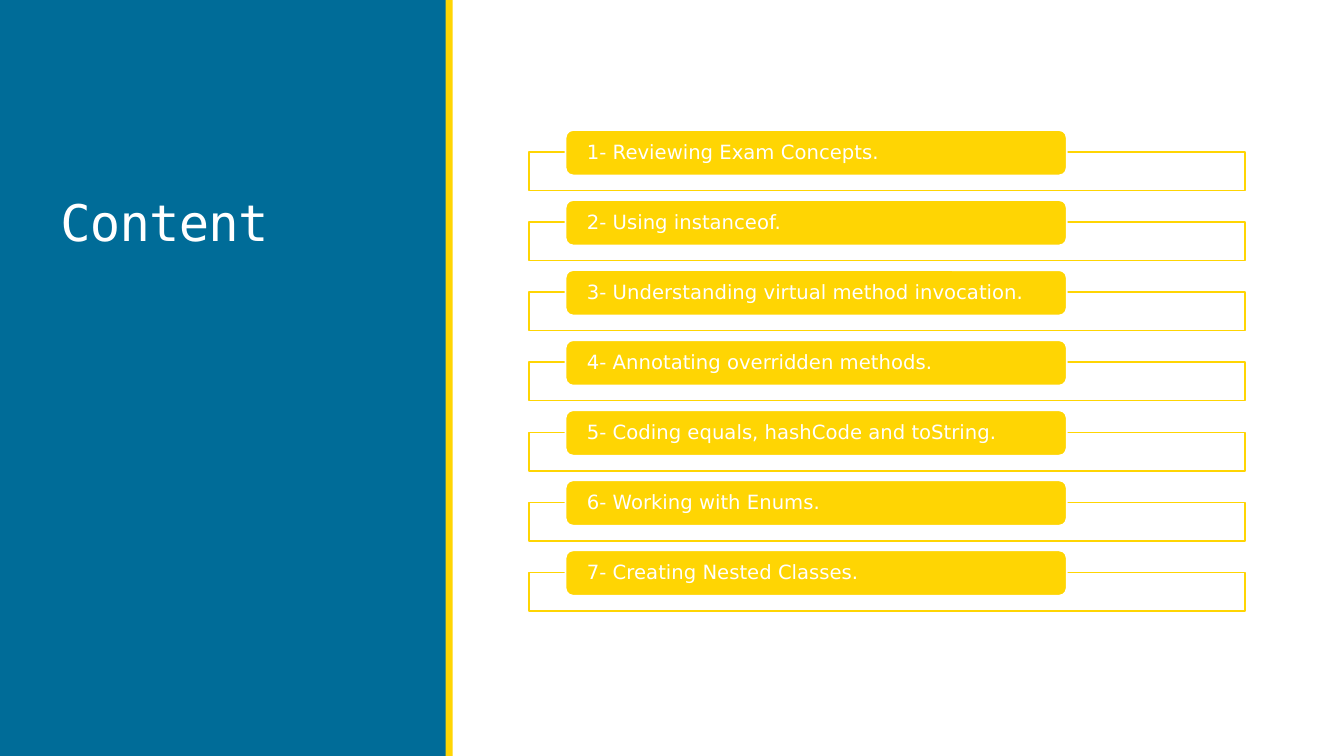
from dataclasses import dataclass

from lxml import etree
from pptx import Presentation
from pptx.dml.color import RGBColor
from pptx.enum.shapes import MSO_SHAPE
from pptx.enum.text import MSO_ANCHOR, PP_ALIGN
from pptx.oxml.ns import qn
from pptx.shapes.autoshape import Shape
from pptx.slide import Slide
from pptx.util import Inches, Pt

RECT = MSO_SHAPE.RECTANGLE
ROUND = MSO_SHAPE.ROUNDED_RECTANGLE
BOTTOM = MSO_ANCHOR.BOTTOM
MIDDLE = MSO_ANCHOR.MIDDLE
LEFT = PP_ALIGN.LEFT


@dataclass(frozen=True)
class Theme:
    blue: str = "006C98"
    gold: str = "FFD503"
    white: str = "FFFFFF"
    sans: str = "DejaVu Sans"
    mono: str = "DejaVu Sans Mono"
    title: float = 36
    body: float = 14
    line: float = 1.25


@dataclass(frozen=True)
class Box:
    left: float
    top: float
    width: float
    height: float

    def down(self, step: float) -> "Box":
        return Box(self.left, self.top + step, self.width, self.height)

    def sizes(self) -> list[int]:
        return [Inches(n) for n in (self.left, self.top, self.width, self.height)]


THEME = Theme()
PANEL = Box(0, 0, 4.43, 7.5)
STRIPE = Box(4.42, 0, 0.07, 7.5)
TITLE = Box(0.5, 0.65, 3.5, 2.5)
FRAME = Box(5.25, 1.51, 7.1, 0.38)
PILL = Box(5.61, 1.29, 4.97, 0.45)
LAST_TOP = 5.68
TOPICS = [
    "Reviewing Exam Concepts.",
    "Using instanceof.",
    "Understanding virtual method invocation.",
    "Annotating overridden methods.",
    "Coding equals, hashCode and toString.",
    "Working with Enums.",
    "Creating Nested Classes.",
]


def add_block(slide: Slide, box: Box, fill: str, kind: MSO_SHAPE = RECT,
              line: str | None = None, alpha: int = 100) -> Shape:
    """Draw a flat filled shape; alpha is the fill's opacity in percent."""
    shape = slide.shapes.add_shape(kind, *box.sizes())
    shape.shadow.inherit = False
    shape.fill.solid()
    shape.fill.fore_color.rgb = RGBColor.from_string(fill)
    if alpha < 100:
        color = next(shape.element.iter(qn("a:srgbClr")))
        etree.SubElement(color, qn("a:alpha"), val=str(alpha * 1000))
    if line:
        shape.line.color.rgb = RGBColor.from_string(line)
        shape.line.width = Pt(THEME.line)
    else:
        shape.line.fill.background()
    return shape


def put_text(shape: Shape, text: str, *, font: str, size: float, anchor: MSO_ANCHOR,
             insets: tuple[float, float, float, float], spacing: float,
             track: float = 0) -> None:
    """Fill a shape with one line; insets run left, top, right, bottom."""
    frame = shape.text_frame
    frame.word_wrap = True
    frame.vertical_anchor = anchor
    (frame.margin_left, frame.margin_top,
     frame.margin_right, frame.margin_bottom) = [Inches(n) for n in insets]
    para = frame.paragraphs[0]
    para.alignment = LEFT
    para.line_spacing = spacing
    run = para.add_run()
    run.text = text
    run.font.name = font
    run.font.size = Pt(size)
    run.font.color.rgb = RGBColor.from_string(THEME.white)
    if track:
        props = next(shape.element.iter(qn("a:rPr")))
        props.set("spc", str(round(track * 100)))


def add_topic(slide: Slide, text: str, step: float) -> None:
    add_block(slide, FRAME.down(step), THEME.white, line=THEME.gold, alpha=90)
    pill = add_block(slide, PILL.down(step), THEME.gold, ROUND, THEME.white)
    put_text(pill, text, font=THEME.sans, size=THEME.body, anchor=MIDDLE,
             insets=(0.19, 0, 0.19, 0), spacing=0.9)


def main() -> None:
    deck = Presentation()
    deck.slide_width, deck.slide_height = Inches(13.33), Inches(7.5)
    slide = deck.slides.add_slide(deck.slide_layouts[6])

    add_block(slide, PANEL, THEME.blue)
    add_block(slide, STRIPE, THEME.gold)
    title = slide.shapes.add_textbox(*TITLE.sizes())
    put_text(title, "Content", font=THEME.mono, size=THEME.title, anchor=BOTTOM,
             insets=(0.1, 0.05, 0.1, 0.65), spacing=0.85, track=-0.5)

    pitch = (LAST_TOP - FRAME.top) / (len(TOPICS) - 1)
    for i, topic in enumerate(TOPICS):
        add_topic(slide, f"{i + 1}- {topic}", i * pitch)

    deck.save("out.pptx")


if __name__ == "__main__":
    main()
